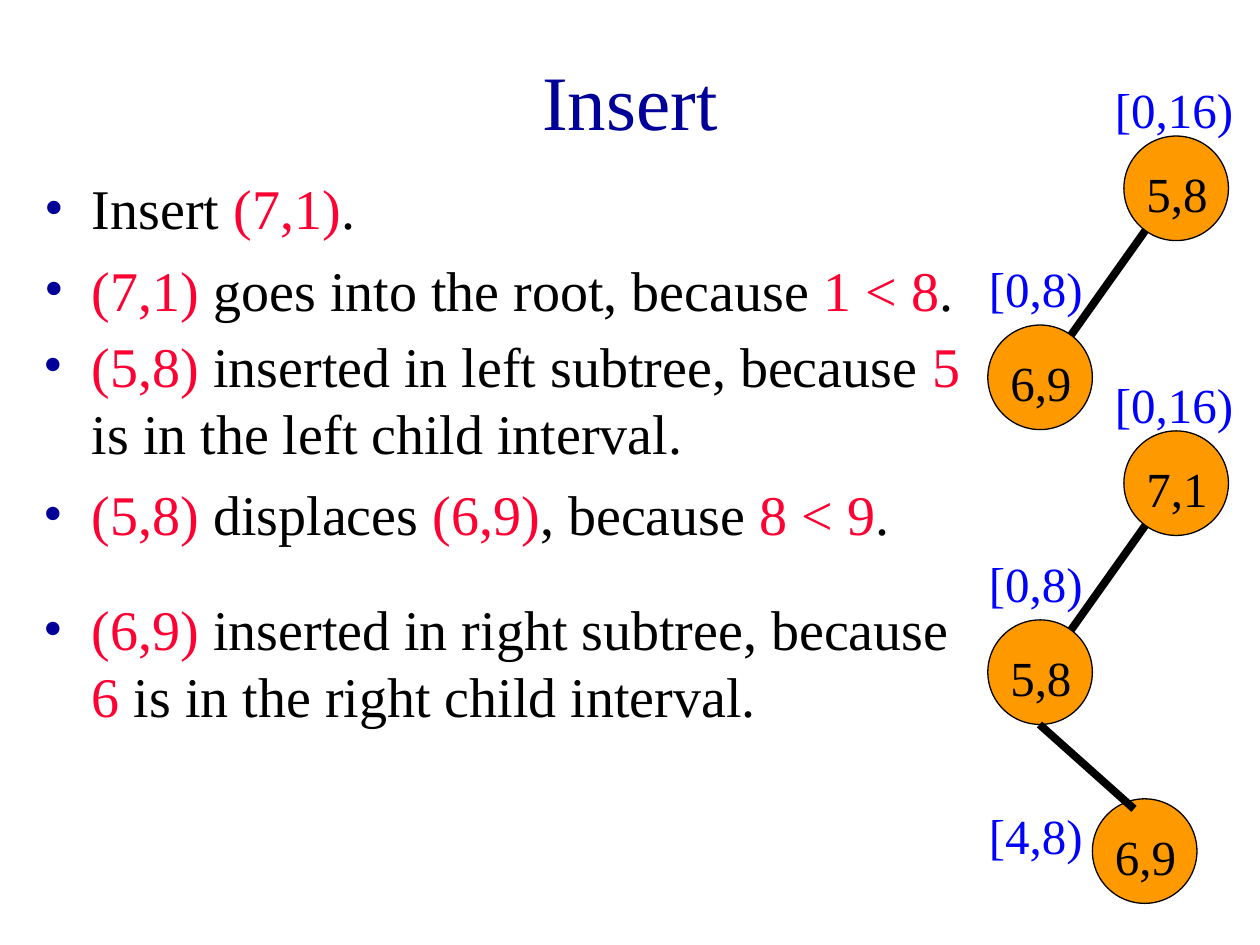
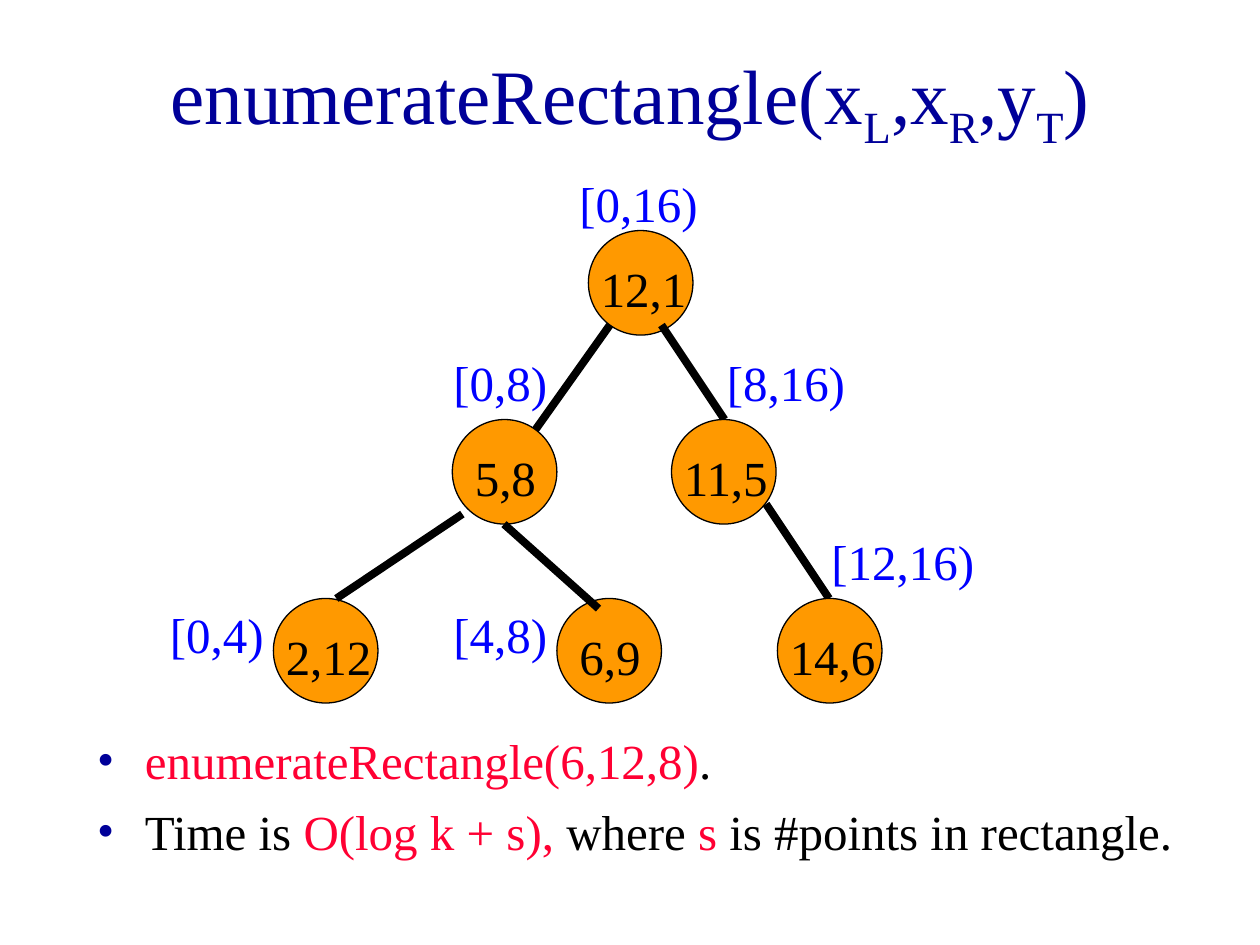
from dataclasses import dataclass

from lxml.etree import SubElement
from pptx import Presentation
from pptx.dml.color import RGBColor
from pptx.enum.shapes import MSO_CONNECTOR, MSO_SHAPE
from pptx.enum.text import MSO_ANCHOR, MSO_AUTO_SIZE, PP_ALIGN
from pptx.oxml.ns import qn
from pptx.util import Inches, Pt


@dataclass(frozen=True)
class Theme:
    font: str = "Times New Roman"
    heading: str = "000099"
    ink: str = "000000"
    accent: str = "FF0033"
    interval: str = "0000FF"
    node: str = "FF9900"
    title_size: int = 44
    list_size: int = 32
    small_list_size: int = 28
    label_size: int = 28
    label_space: float = 17.5
    outline: float = 0.75
    edge: float = 4.5
    node_size: float = 0.83


class TreeDeck:
    def __init__(self, theme):
        self.theme = theme
        self.deck = Presentation()
        self.deck.slide_width = Inches(10)
        self.deck.slide_height = Inches(7.5)
        self.slide = None

    def add_slide(self, title):
        self.slide = self.deck.slides.add_slide(self.deck.slide_layouts[1])
        heading = self.slide.shapes.title
        self.place(heading, 0.75, 0.17, 8.5, 1.25)
        frame = heading.text_frame
        frame.auto_size = MSO_AUTO_SIZE.NONE
        frame.vertical_anchor = MSO_ANCHOR.MIDDLE
        paragraph = frame.paragraphs[0]
        paragraph.alignment = PP_ALIGN.CENTER
        for index, piece in enumerate(title.split("_")):
            run = self.add_run(paragraph, piece, self.theme.title_size, self.theme.heading)
            if index % 2:
                run.font._element.set("baseline", "-25000")

    def place(self, shape, left, top, width, height):
        shape.left, shape.top = Inches(left), Inches(top)
        shape.width, shape.height = Inches(width), Inches(height)

    def add_run(self, paragraph, words, size, color):
        run = paragraph.add_run()
        run.text = words
        run.font.name = self.theme.font
        run.font.size = Pt(size)
        run.font.color.rgb = RGBColor.from_string(color)
        return run

    def add_body(self, items, left, top, width, height, size):
        body = self.slide.placeholders[1]
        self.place(body, left, top, width, height)
        self.fill_list(body.text_frame, items, size)

    def add_more_items(self, items, left, top, width, height, size):
        box = self.slide.shapes.add_textbox(
            Inches(left), Inches(top), Inches(width), Inches(height))
        self.fill_list(box.text_frame, items, size)

    def fill_list(self, frame, items, size):
        frame.word_wrap = True
        frame.auto_size = MSO_AUTO_SIZE.NONE
        for index, item in enumerate(items):
            paragraph = frame.add_paragraph() if index else frame.paragraphs[0]
            paragraph.space_before = Pt(size / 4)
            self.add_bullet(paragraph)
            for part, piece in enumerate(item.split("*")):
                if piece:
                    color = self.theme.accent if part % 2 else self.theme.ink
                    self.add_run(paragraph, piece, size, color)

    def add_bullet(self, paragraph):
        properties = paragraph._p.get_or_add_pPr()
        properties.set("marL", str(Inches(0.38)))
        properties.set("indent", str(Inches(-0.38)))
        color = SubElement(properties, qn("a:buClr"))
        SubElement(color, qn("a:srgbClr"), val=self.theme.heading)
        SubElement(properties, qn("a:buFont"), typeface=self.theme.font)
        SubElement(properties, qn("a:buChar"), char="•")

    def add_label(self, words, left, top, width, color):
        box = self.slide.shapes.add_textbox(
            Inches(left), Inches(top), Inches(width), Inches(0.57))
        frame = box.text_frame
        frame.word_wrap = True
        frame.auto_size = MSO_AUTO_SIZE.SHAPE_TO_FIT_TEXT
        paragraph = frame.paragraphs[0]
        paragraph.space_before = Pt(self.theme.label_space)
        self.add_run(paragraph, words, self.theme.label_size, color)

    def add_interval(self, words, left, top, width=1.25):
        self.add_label(words, left, top, width, self.theme.interval)

    def add_node(self, point, left, top):
        side = Inches(self.theme.node_size)
        circle = self.slide.shapes.add_shape(
            MSO_SHAPE.OVAL, Inches(left), Inches(top), side, side)
        circle.shadow.inherit = False
        circle.fill.solid()
        circle.fill.fore_color.rgb = RGBColor.from_string(self.theme.node)
        circle.line.color.rgb = RGBColor.from_string(self.theme.ink)
        circle.line.width = Pt(self.theme.outline)
        inset, width = (0.08, 0.75) if len(point) == 3 else (0, 1)
        self.add_label(point, left + inset, top + 0.17, width, self.theme.ink)

    def add_edge(self, start_x, start_y, end_x, end_y):
        edge = self.slide.shapes.add_connector(
            MSO_CONNECTOR.STRAIGHT,
            Inches(start_x), Inches(start_y), Inches(end_x), Inches(end_y))
        edge.line.color.rgb = RGBColor.from_string(self.theme.ink)
        edge.line.width = Pt(self.theme.edge)
        SubElement(edge._element.spPr, qn("a:effectLst"))

    def add_left_branch(self, root, child, left, top):
        self.add_node(root, left, top)
        self.add_interval("[0,16)", left - 0.17, top - 0.5)
        self.add_node(child, left - 1.08, top + 1.5)
        self.add_edge(left + 0.17, top + 0.75, left - 0.42, top + 1.58)
        self.add_interval("[0,8)", left - 1.17, top + 0.92)

    def add_inner_leaf(self, point, left, top):
        self.add_node(point, left - 0.25, top + 2.92)
        self.add_edge(left - 0.67, top + 2.33, left + 0.08, top + 3)
        self.add_interval("[4,8)", left - 1.17, top + 2.92)

    def save(self):
        self.deck.save("out.pptx")


def build_insert(tree):
    size = tree.theme.list_size
    tree.add_slide("Insert")
    tree.add_body(
        ["Insert *(7,1)*.", "*(7,1)* goes into the root, because *1 < 8*."],
        0.25, 1.33, 7.58, 1.42, size)
    tree.add_left_branch("5,8", "6,9", 8.92, 1.08)
    tree.add_left_branch("7,1", "5,8", 8.92, 3.42)
    tree.add_inner_leaf("6,9", 8.92, 3.42)
    tree.add_more_items(
        ["*(5,8)* inserted in left subtree, because *5* is in the left child interval.",
         "*(5,8)* displaces *(6,9)*, because *8 < 9*."],
        0.25, 2.58, 7.58, 1.83, size)
    tree.add_more_items(
        ["*(6,9)* inserted in right subtree, because *6* is in the right child interval."],
        0.25, 4.67, 7.58, 1.33, size)


def build_enumerate(tree):
    tree.add_slide("enumerateRectangle(x_L_,x_R_,y_T_)")
    tree.add_body(
        ["*enumerateRectangle(6,12,8)*.",
         "Time is *O(log k + s), *where* s *is #points in rectangle."],
        0.67, 5.75, 8.83, 1.5, tree.theme.small_list_size)
    tree.add_left_branch("12,1", "5,8", 4.67, 1.83)
    tree.add_inner_leaf("6,9", 4.67, 1.83)
    tree.add_edge(5.25, 2.58, 5.75, 3.33)
    tree.add_interval("[8,16)", 5.67, 2.75)
    tree.add_node("11,5", 5.33, 3.33)
    tree.add_node("2,12", 2.17, 4.75)
    tree.add_interval("[0,4)", 1.25, 4.75)
    tree.add_edge(3.67, 4.08, 2.67, 4.75)
    tree.add_edge(6.08, 4, 6.58, 4.75)
    tree.add_interval("[12,16)", 6.5, 4.17, 1.58)
    tree.add_node("14,6", 6.17, 4.75)


def main():
    tree = TreeDeck(Theme())
    build_insert(tree)
    build_enumerate(tree)
    tree.save()


if __name__ == "__main__":
    main()
